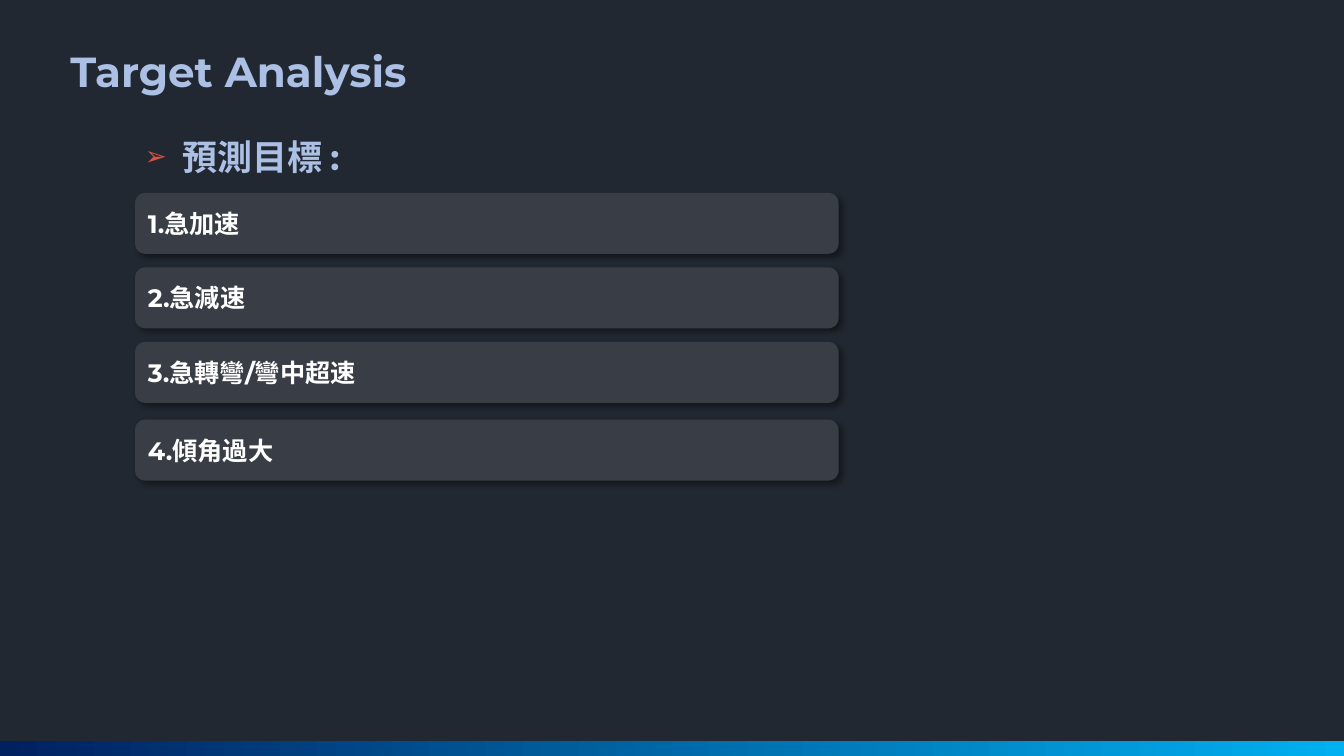
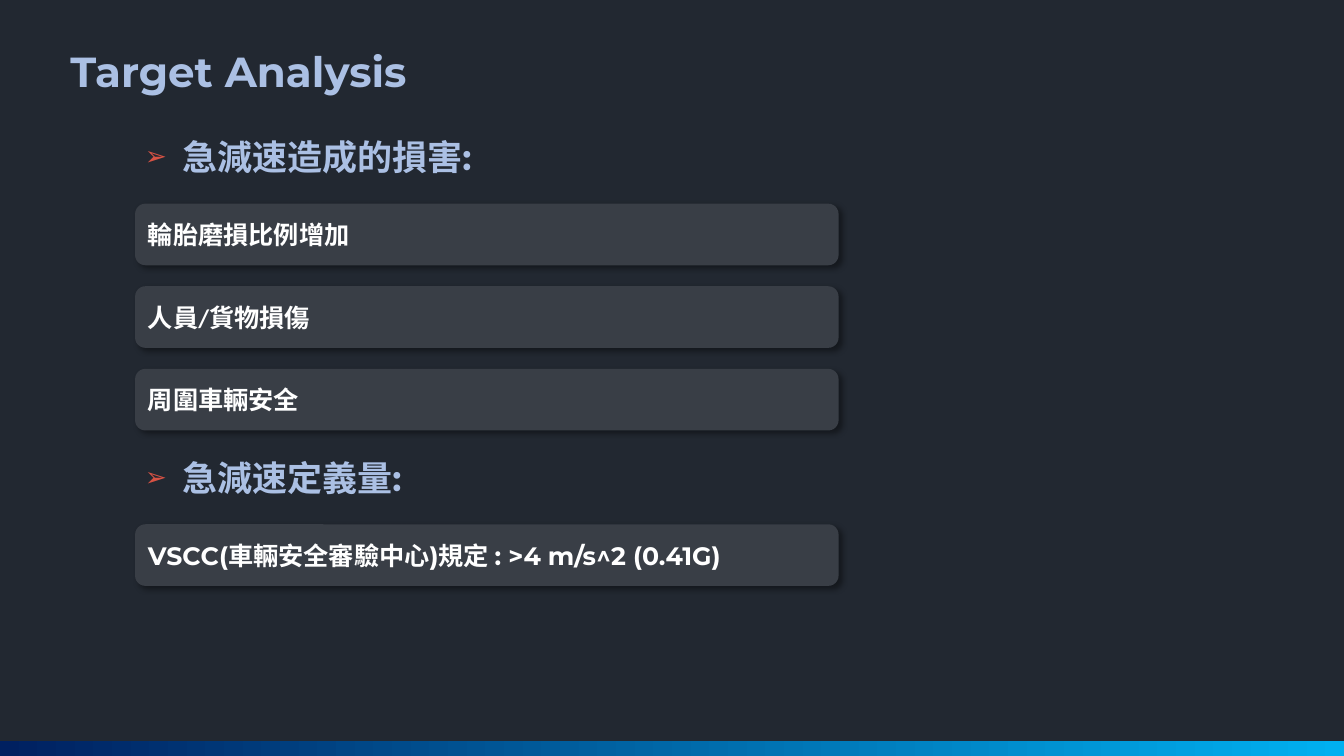
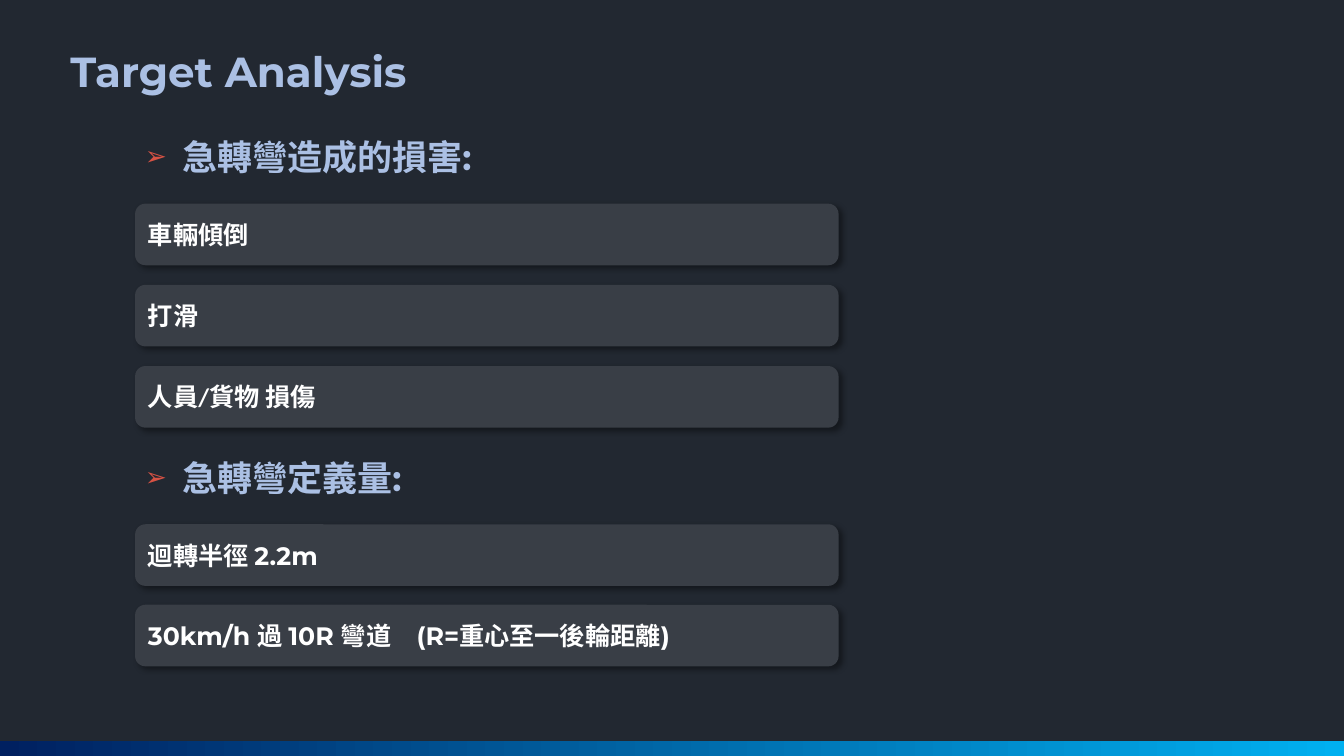
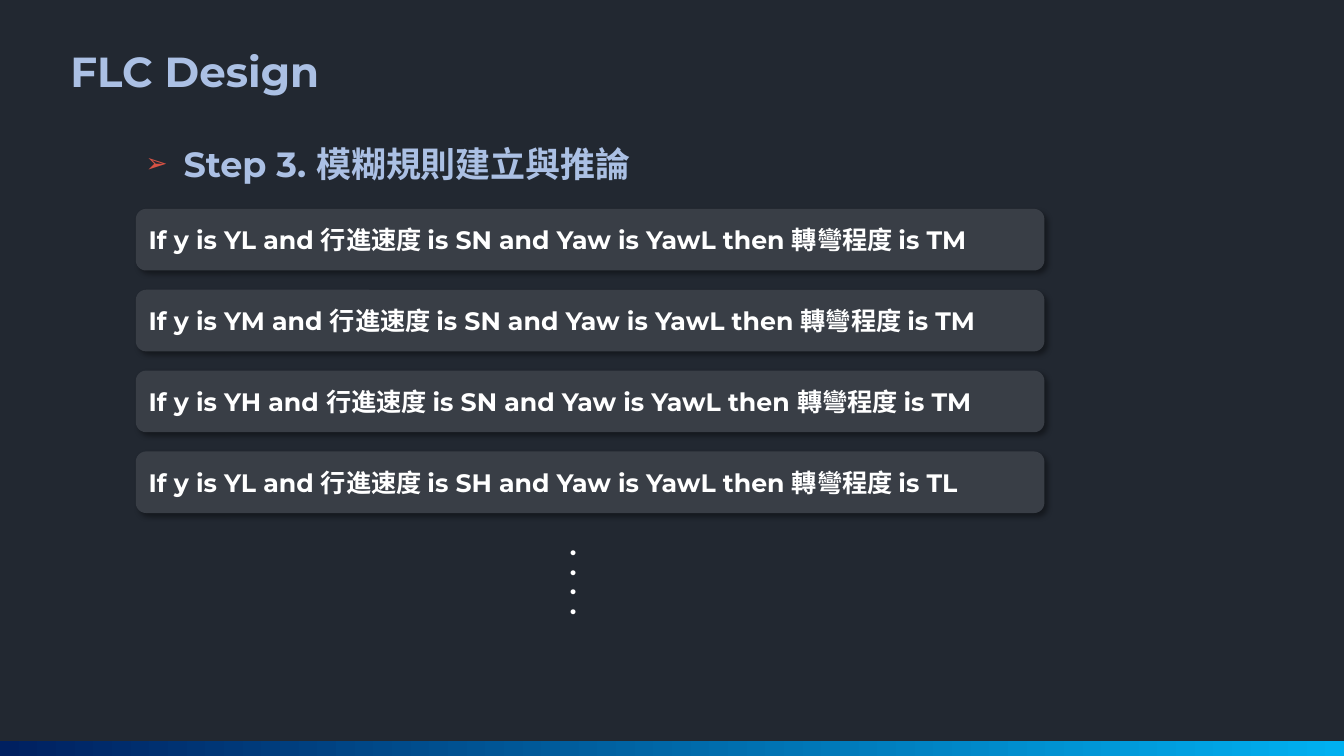
from lxml.etree import SubElement
from pptx import Presentation
from pptx.dml.color import RGBColor
from pptx.enum.shapes import MSO_SHAPE
from pptx.enum.text import MSO_ANCHOR, PP_ALIGN
from pptx.oxml.ns import qn
from pptx.util import Pt

COLORS = {
    "background": "222831",
    "card": "393E46",
    "heading": "ABC0E4",
    "bullet": "D75244",
    "text": "FFFFFF",
    "band_start": "002060",
    "band_end": "00B0F0",
    "shadow": "000000",
}
FONT = "Montserrat"
PLAIN_FONT = "Calibri"

SLIDE_WIDTH, SLIDE_HEIGHT = 960, 540
BAND_HEIGHT = 10.8
LEFT = 96.5
CARD_WIDTH, CARD_HEIGHT = 502.5, 44
RULE_LEFT, RULE_WIDTH = 97, 649
HEADING_INDENT = 27


def rgb(name):
    return RGBColor.from_string(COLORS[name])


# Text
def add_text(frame, text, size, color, font=FONT):
    frame.word_wrap = True
    paragraph = frame.paragraphs[0]
    paragraph.alignment = PP_ALIGN.LEFT
    run = paragraph.add_run()
    run.text = text
    run.font.size = Pt(size)
    run.font.name = font
    run.font.bold = True
    run.font.color.rgb = rgb(color)
    return paragraph


def add_label(slide, text, left, top, width, height, size, color):
    box = slide.shapes.add_textbox(Pt(left), Pt(top), Pt(width), Pt(height))
    return add_text(box.text_frame, text, size, color)


def add_heading(slide, text, top, width, left=LEFT):
    paragraph = add_label(slide, text, left, top, width, 37.5, 25, "heading")
    properties = paragraph._p.get_or_add_pPr()
    properties.set("marL", str(Pt(HEADING_INDENT)))
    properties.set("indent", str(-Pt(HEADING_INDENT)))
    bullet_color = SubElement(properties, qn("a:buClr"))
    SubElement(bullet_color, qn("a:srgbClr"), val=COLORS["bullet"])
    SubElement(properties, qn("a:buSzPct"), val="75000")
    SubElement(properties, qn("a:buFont"), typeface="Arial")
    SubElement(properties, qn("a:buChar"), char="➢")


# Cards
def add_shadow(shape):
    effects = SubElement(shape._element.spPr, qn("a:effectLst"))
    shadow = SubElement(effects, qn("a:outerShdw"), blurRad=str(Pt(4)), dist=str(Pt(3)),
                        dir="2700000", algn="tl", rotWithShape="0")
    color = SubElement(shadow, qn("a:srgbClr"), val=COLORS["shadow"])
    SubElement(color, qn("a:alpha"), val="40000")


def add_card(slide, text, left, top, width, height, font):
    card = slide.shapes.add_shape(MSO_SHAPE.ROUNDED_RECTANGLE,
                                  Pt(left), Pt(top), Pt(width), Pt(height))
    card.fill.solid()
    card.fill.fore_color.rgb = rgb("card")
    card.line.fill.background()
    add_shadow(card)
    card.text_frame.vertical_anchor = MSO_ANCHOR.MIDDLE
    add_text(card.text_frame, text, 18, "text", font)


def add_cards(slide, texts, top, pitch=57.5, left=LEFT, width=CARD_WIDTH,
              height=CARD_HEIGHT, font=FONT):
    for index, text in enumerate(texts):
        add_card(slide, text, left, top + index * pitch, width, height, font)


# Shared slide frame
def add_band(slide):
    band = slide.shapes.add_shape(MSO_SHAPE.RECTANGLE, 0, Pt(SLIDE_HEIGHT - BAND_HEIGHT),
                                  Pt(SLIDE_WIDTH), Pt(BAND_HEIGHT))
    band.shadow.inherit = False
    band.line.fill.background()
    band.fill.gradient()
    band.fill.gradient_angle = 0
    for stop, name in zip(band.fill.gradient_stops, ("band_start", "band_end")):
        stop.color.rgb = rgb(name)


def add_slide(presentation, title, title_width=274):
    slide = presentation.slides.add_slide(presentation.slide_layouts[6])
    add_band(slide)
    add_label(slide, title, 43.2, 28.8, title_width, 44, 30, "heading")
    return slide


# Slides
def build_targets(presentation):
    slide = add_slide(presentation, "Target Analysis")
    add_heading(slide, "預測目標 :", 93.5, 168.5)
    add_cards(slide, ["1.急加速", "2.急減速", "3.急轉彎/彎中超速"], 137.75, 53.25, height=43.5)
    add_cards(slide, ["4.傾角過大"], 299.75, height=43.5)


def build_damage(presentation, subject, damages, pitch, definitions):
    slide = add_slide(presentation, "Target Analysis")
    add_heading(slide, f"{subject}造成的損害:", 93.5, 260.5)
    add_cards(slide, damages, 145.5, pitch, font=PLAIN_FONT)
    add_heading(slide, f"{subject}定義量:", 322.5, 210)
    add_cards(slide, definitions, 374.5)


def build_rules(presentation):
    slide = add_slide(presentation, "FLC Design", 201)
    add_heading(slide, "Step 3. 模糊規則建立與推論", 98, 371.5, RULE_LEFT)
    levels = [("YL", "SN", "TM"), ("YM", "SN", "TM"), ("YH", "SN", "TM"), ("YL", "SH", "TL")]
    rules = [f"If y is {y} and 行進速度 is {speed} and Yaw is YawL then 轉彎程度 is {turn}"
             for y, speed, turn in levels]
    add_cards(slide, rules, 149.25, 57.75, RULE_LEFT, RULE_WIDTH)
    # Vertical ellipsis
    for index in range(4):
        add_label(slide, ".", 400, 375 + index * 14.2, 21, 29, 18, "text")


def main():
    presentation = Presentation()
    presentation.slide_width = Pt(SLIDE_WIDTH)
    presentation.slide_height = Pt(SLIDE_HEIGHT)
    background = presentation.slide_master.background.fill
    background.solid()
    background.fore_color.rgb = rgb("background")

    build_targets(presentation)
    build_damage(presentation, "急減速", ["輪胎磨損比例增加", "人員/貨物損傷", "周圍車輛安全"], 59,
                 ["VSCC(車輛安全審驗中心)規定 : >4 m/s^2 (0.41G)"])
    build_damage(presentation, "急轉彎", ["車輛傾倒", "打滑", "人員/貨物 損傷"], 58,
                 ["迴轉半徑 2.2m", "30km/h 過 10R 彎道　(R=重心至一後輪距離)"])
    build_rules(presentation)
    presentation.save("out.pptx")


if __name__ == "__main__":
    main()
